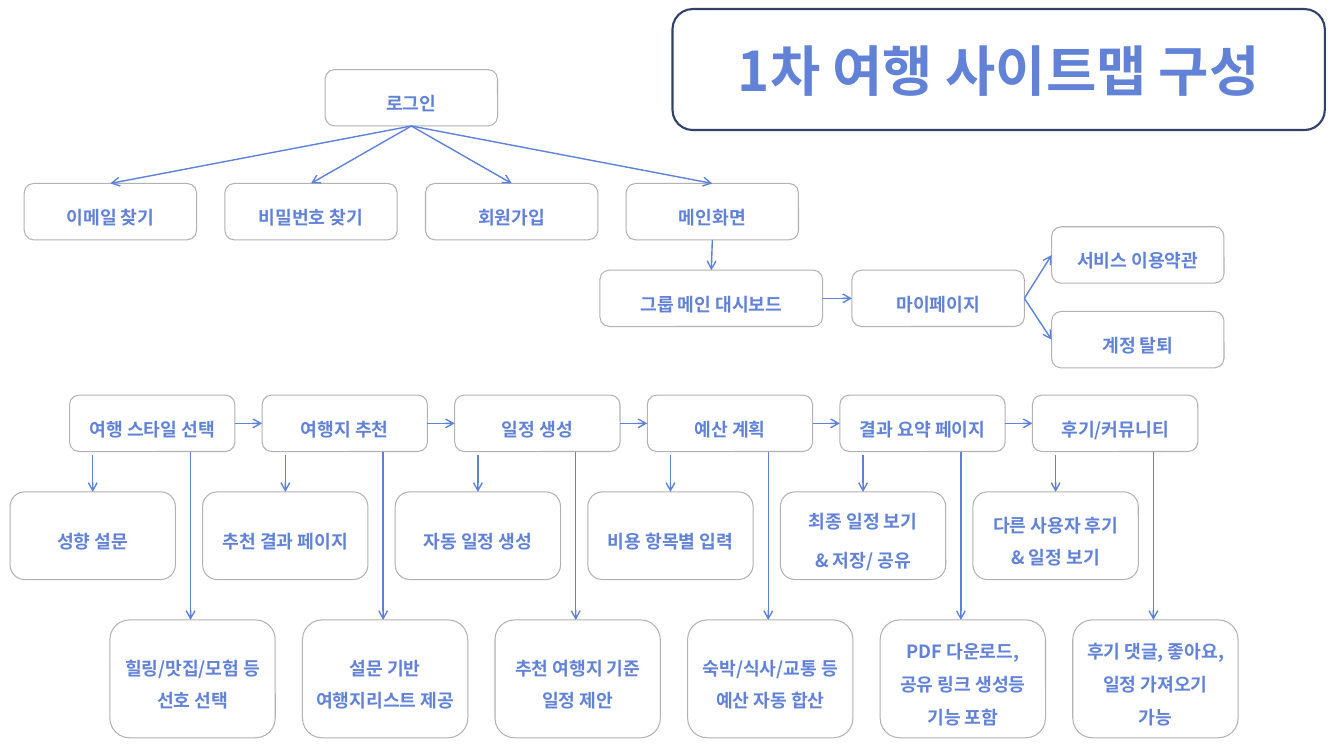
"""Build a one-slide site map of a travel planning service."""
from dataclasses import dataclass

import lxml.etree
import pptx
import pptx.dml.color
import pptx.enum.shapes
import pptx.enum.text
import pptx.oxml.ns
import pptx.presentation
import pptx.shapes.autoshape
import pptx.shapes.connector
import pptx.slide
import pptx.text.text
import pptx.util

Inches = pptx.util.Inches
Point = tuple[float, float]
TOP, LEFT, BOTTOM, RIGHT = range(4)


@dataclass(frozen=True)
class Theme:
    font: str = "Noto Sans CJK KR"
    text: str = "6182D6"
    arrow: str = "5E81D9"
    box_line: str = "B2B2B2"
    title_line: str = "30416A"
    paper: str = "FFFFFF"
    title_size: float = 39
    box_size: float = 13
    box_spacing: float = 1.5
    box_space_after: float = 4.5
    box_inset: float = 0.08


@dataclass(frozen=True)
class Columns:
    left: float
    pitch: float
    width: float

    def at(self, index: int) -> float:
        return self.left + index * self.pitch


@dataclass(frozen=True)
class Row:
    top: float
    height: float


@dataclass(frozen=True)
class Box:
    text: str
    left: float
    width: float
    row: Row


@dataclass(frozen=True)
class Stage:
    name: str
    page: str
    feature: str


THEME = Theme()
SLIDE_WIDTH, SLIDE_HEIGHT = 13.33, 7.5
TITLE = Box("1차 여행 사이트맵 구성", 6.67, 6.47, Row(0.09, 1.2))

ACCOUNT_COLUMNS = Columns(0.24, 1.99, 1.71)
STAGE_COLUMNS = Columns(0.69, 1.91, 1.64)
PAGE_COLUMNS = Columns(0.1, 1.91, 1.64)
FEATURE_COLUMNS = Columns(1.09, 1.91, 1.64)
FEATURE_ARROWS = Columns(1.89, 1.91, 0)

LOGIN_ROW = Row(0.69, 0.56)
ACCOUNT_ROW = Row(1.82, 0.56)
DASHBOARD_ROW = Row(2.68, 0.56)
TERMS_ROW = Row(2.25, 0.56)
LEAVE_ROW = Row(3.09, 0.56)
STAGE_ROW = Row(3.92, 0.56)
PAGE_ROW = Row(4.88, 0.87)
FEATURE_ROW = Row(6.15, 1.17)
PAGE_ARROW_TOP = 4.51

ACCOUNT_PAGES = ("이메일 찾기", "비밀번호 찾기", "회원가입", "메인화면")
STAGES = (
    Stage("여행 스타일 선택", "성향 설문", "힐링/맛집/모험 등 선호 선택"),
    Stage("여행지 추천", "추천 결과 페이지", "설문 기반 여행지리스트 제공"),
    Stage("일정 생성", "자동 일정 생성", "추천 여행지 기준 일정 제안"),
    Stage("예산 계획", "비용 항목별 입력", "숙박/식사/교통 등 예산 자동 합산"),
    Stage("결과 요약 페이지", "최종 일정 보기\n& 저장/ 공유",
          "PDF 다운로드, 공유 링크 생성등 기능 포함"),
    Stage("후기/커뮤니티", "다른 사용자 후기 & 일정 보기",
          "후기 댓글, 좋아요, 일정 가져오기 가능"),
)


def rgb(value: str) -> pptx.dml.color.RGBColor:
    return pptx.dml.color.RGBColor.from_string(value)


def write_text(frame: pptx.text.text.TextFrame, text: str, size: float) -> None:
    frame.text = text
    frame.word_wrap = True
    frame.auto_size = pptx.enum.text.MSO_AUTO_SIZE.NONE
    frame.vertical_anchor = pptx.enum.text.MSO_ANCHOR.MIDDLE
    for paragraph in frame.paragraphs:
        paragraph.alignment = pptx.enum.text.PP_ALIGN.CENTER
        for run in paragraph.runs:
            run.font.size = pptx.util.Pt(size)
            run.font.bold = True
            run.font.color.rgb = rgb(THEME.text)
            run.font.name = THEME.font
            east_asian = lxml.etree.SubElement(
                run.font._element, pptx.oxml.ns.qn("a:ea"))
            east_asian.set("typeface", THEME.font)


def add_outline(slide: pptx.slide.Slide, box: Box,
                preset: pptx.enum.shapes.MSO_SHAPE, line: str,
                weight: float) -> pptx.shapes.autoshape.Shape:
    shape = slide.shapes.add_shape(
        preset, Inches(box.left), Inches(box.row.top),
        Inches(box.width), Inches(box.row.height))
    shape.shadow.inherit = False
    shape.fill.solid()
    shape.fill.fore_color.rgb = rgb(THEME.paper)
    shape.line.color.rgb = rgb(line)
    shape.line.width = pptx.util.Pt(weight)
    return shape


def add_box(slide: pptx.slide.Slide, box: Box) -> pptx.shapes.autoshape.Shape:
    shape = add_outline(slide, box, pptx.enum.shapes.MSO_SHAPE.ROUNDED_RECTANGLE,
                        THEME.box_line, 0.75)
    frame = shape.text_frame
    write_text(frame, box.text, THEME.box_size)
    frame.margin_left = frame.margin_right = Inches(THEME.box_inset)
    frame.margin_top = frame.margin_bottom = Inches(THEME.box_inset)
    for paragraph in frame.paragraphs:
        paragraph.line_spacing = THEME.box_spacing
        paragraph.space_after = pptx.util.Pt(THEME.box_space_after)
    return shape


def add_arrow(slide: pptx.slide.Slide, start: Point = (0, 0),
              end: Point = (0, 0)) -> pptx.shapes.connector.Connector:
    arrow = slide.shapes.add_connector(
        pptx.enum.shapes.MSO_CONNECTOR.STRAIGHT,
        *(Inches(value) for value in (*start, *end)))
    arrow.line.color.rgb = rgb(THEME.arrow)
    arrow.line.width = pptx.util.Pt(1)
    properties = arrow.element.spPr
    line = properties.find(pptx.oxml.ns.qn("a:ln"))
    lxml.etree.SubElement(line, pptx.oxml.ns.qn("a:tailEnd")).set("type", "arrow")
    lxml.etree.SubElement(properties, pptx.oxml.ns.qn("a:effectLst"))
    return arrow


def join(slide: pptx.slide.Slide, source: pptx.shapes.autoshape.Shape, source_side: int,
         target: pptx.shapes.autoshape.Shape, target_side: int) -> None:
    arrow = add_arrow(slide)
    arrow.begin_connect(source, source_side)
    arrow.end_connect(target, target_side)


def add_title(slide: pptx.slide.Slide) -> None:
    add_outline(slide, TITLE, pptx.enum.shapes.MSO_SHAPE.FLOWCHART_ALTERNATE_PROCESS,
                THEME.title_line, 1.5)
    title = slide.shapes.title
    title.left, title.top = Inches(TITLE.left), Inches(TITLE.row.top)
    title.width, title.height = Inches(TITLE.width), Inches(TITLE.row.height)
    write_text(title.text_frame, TITLE.text, THEME.title_size)
    title.element.getparent().append(title.element)


def add_account_map(slide: pptx.slide.Slide) -> None:
    width = ACCOUNT_COLUMNS.width
    login = add_box(slide, Box("로그인", ACCOUNT_COLUMNS.at(1.5), width, LOGIN_ROW))
    for index, text in enumerate(ACCOUNT_PAGES):
        page = add_box(slide, Box(text, ACCOUNT_COLUMNS.at(index), width, ACCOUNT_ROW))
        join(slide, login, BOTTOM, page, TOP)
    dashboard = add_box(slide, Box("그룹 메인 대시보드", 5.95, 2.21, DASHBOARD_ROW))
    my_page = add_box(slide, Box("마이페이지", 8.45, width, DASHBOARD_ROW))
    join(slide, page, BOTTOM, dashboard, TOP)
    join(slide, dashboard, RIGHT, my_page, LEFT)
    for text, row in (("서비스 이용약관", TERMS_ROW), ("계정 탈퇴", LEAVE_ROW)):
        join(slide, my_page, RIGHT, add_box(slide, Box(text, 10.43, width, row)), LEFT)


def add_stage_map(slide: pptx.slide.Slide) -> None:
    previous = None
    for index, stage in enumerate(STAGES):
        name, page, feature = (
            add_box(slide, Box(text, columns.at(index), columns.width, row))
            for text, columns, row in (
                (stage.name, STAGE_COLUMNS, STAGE_ROW),
                (stage.page, PAGE_COLUMNS, PAGE_ROW),
                (stage.feature, FEATURE_COLUMNS, FEATURE_ROW)))
        if previous is not None:
            join(slide, previous, RIGHT, name, LEFT)
        previous = name
        page_center = PAGE_COLUMNS.at(index) + PAGE_COLUMNS.width / 2
        add_arrow(slide, (page_center, PAGE_ARROW_TOP),
                  (page_center, PAGE_ROW.top)).end_connect(page, TOP)
        feature_x = FEATURE_ARROWS.at(index)
        add_arrow(slide, (feature_x, STAGE_ROW.top + STAGE_ROW.height),
                  (feature_x, FEATURE_ROW.top))


def main() -> None:
    presentation = pptx.Presentation()
    presentation.slide_width = Inches(SLIDE_WIDTH)
    presentation.slide_height = Inches(SLIDE_HEIGHT)
    slide = presentation.slides.add_slide(presentation.slide_layouts[5])
    add_account_map(slide)
    add_stage_map(slide)
    add_title(slide)
    presentation.save("out.pptx")


if __name__ == "__main__":
    main()
